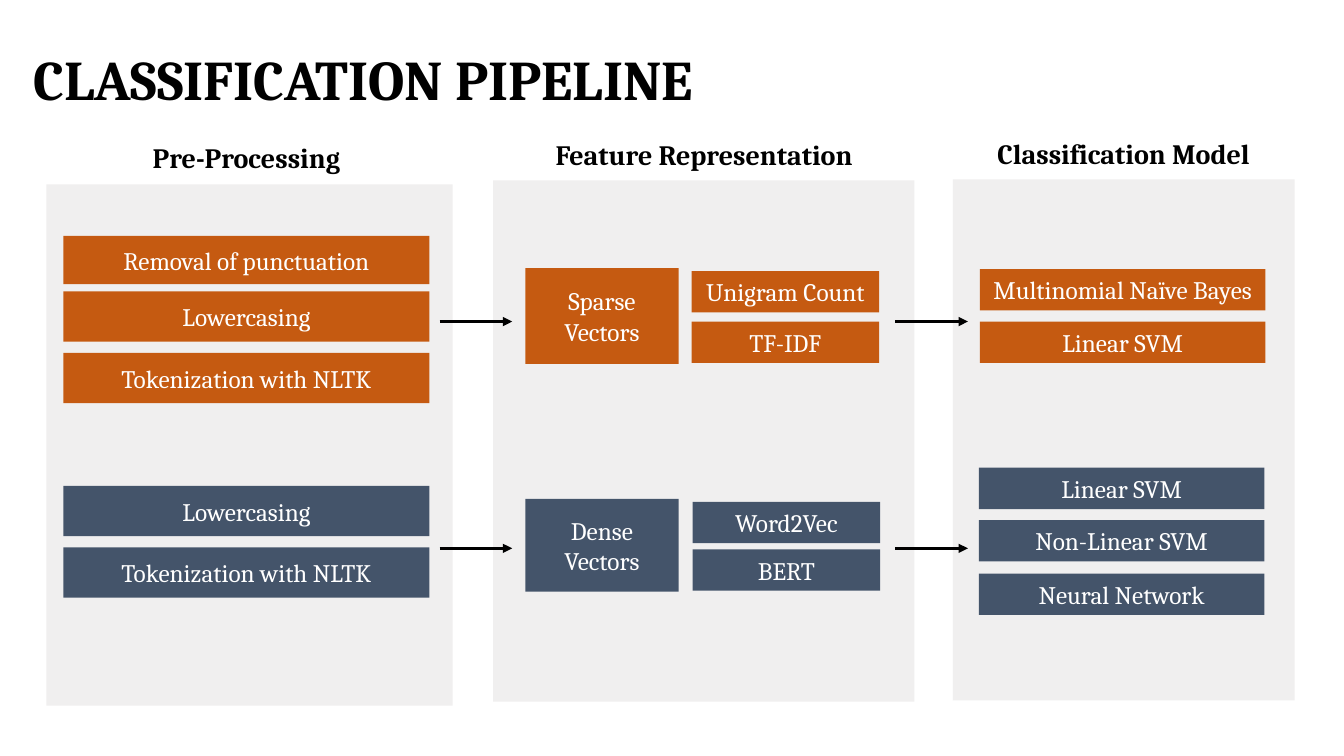
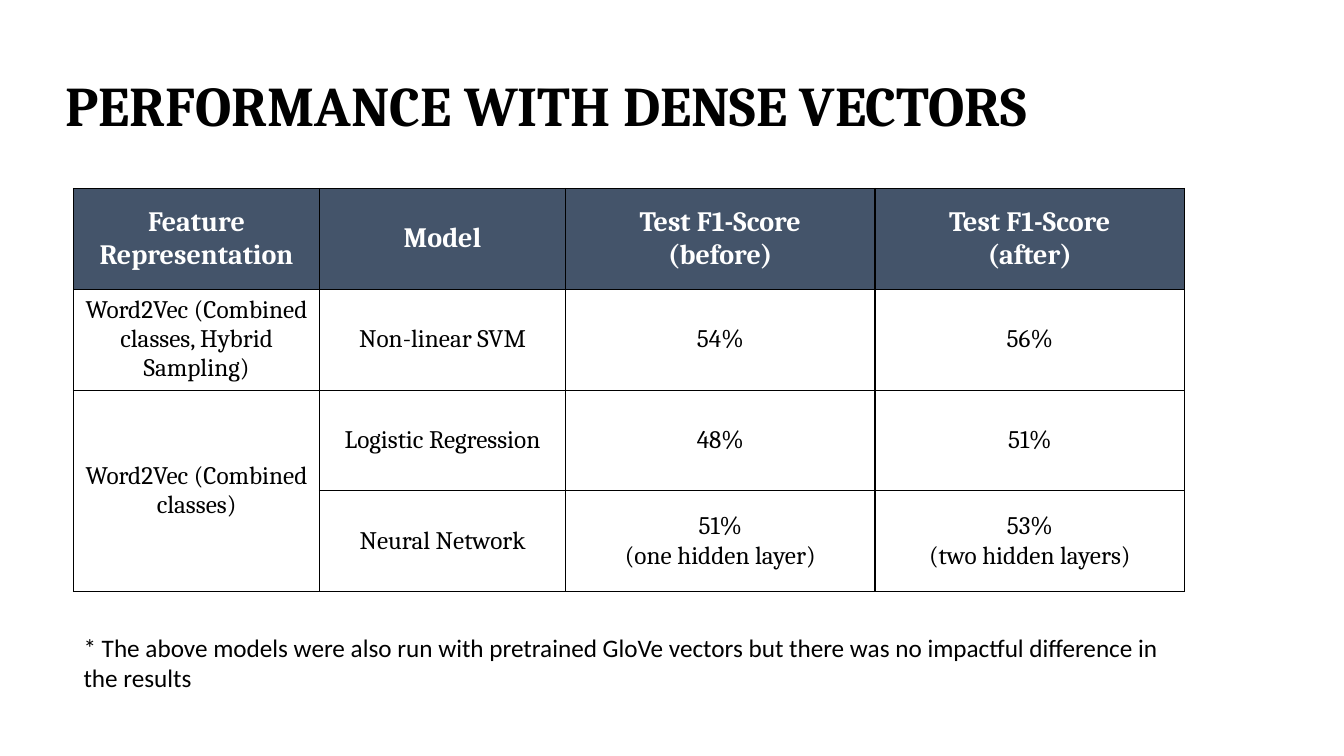
import pptx
import pptx.dml.color
import pptx.enum.shapes
import pptx.enum.text
import pptx.oxml.ns
import pptx.util
from lxml import etree

Inches = pptx.util.Inches
Pt = pptx.util.Pt
CENTER = pptx.enum.text.PP_ALIGN.CENTER
LEFT = pptx.enum.text.PP_ALIGN.LEFT
MIDDLE = pptx.enum.text.MSO_ANCHOR.MIDDLE

SERIF, SANS = "Cambria", "Calibri"
ORANGE, SLATE, GREY = "C55A11", "44546A", "E7E6E6"
BLACK, WHITE = "000000", "FFFFFF"
TITLE_SIZE, HEADING_SIZE, BODY_SIZE = 40, 20, 18

PANELS = [
    ("Pre-Processing", (1.11, 1.37, 2.67), (0.46, 1.83, 4.03)),
    ("Feature Representation", (5.23, 1.34, 3.51), (4.89, 1.79, 4.18)),
    ("Classification Model", (9.39, 1.33, 3.51), (9.45, 1.78, 3.39)),
]
STACKS = [
    (ORANGE, 0.63, 3.63, 0.48, {2.34: "Removal of punctuation"}),
    (ORANGE, 0.63, 3.63, 0.5, {2.89: "Lowercasing", 3.5: "Tokenization with NLTK"}),
    (SLATE, 0.63, 3.63, 0.5, {4.82: "Lowercasing", 5.43: "Tokenization with NLTK"}),
    (ORANGE, 5.21, 1.52, 0.95, {2.66: "Sparse Vectors"}),
    (SLATE, 5.21, 1.52, 0.92, {4.95: "Dense Vectors"}),
    (ORANGE, 6.86, 1.86, 0.41, {2.69: "Unigram Count", 3.19: "TF-IDF"}),
    (SLATE, 6.87, 1.86, 0.41, {4.98: "Word2Vec", 5.45: "BERT"}),
    (ORANGE, 9.72, 2.83, 0.41, {2.67: "Multinomial Naïve Bayes", 3.19: "Linear SVM"}),
    (SLATE, 9.71, 2.83, 0.41,
     {4.64: "Linear SVM", 5.16: "Non-Linear SVM", 5.69: "Neural Network"}),
]
ARROW_LEFTS, ARROW_TOPS, ARROW_LENGTH = (4.36, 8.88), (3.19, 5.44), 0.72

COLUMN_WIDTHS = (2.44, 2.44, 3.07, 3.07)
ROW_HEIGHT = 1
RESULTS = [
    ("Feature Representation", "Model", "Test F1-Score\n(before)", "Test F1-Score\n(after)"),
    ("Word2Vec (Combined classes, Hybrid Sampling)", "Non-linear SVM", "54%", "56%"),
    ("Word2Vec (Combined classes)", "Logistic Regression", "48%", "51%"),
    ("", "Neural Network", "51%\n(one hidden layer)", "53%\n(two hidden layers)"),
]
FOOTNOTE = ("* The above models were also run with pretrained GloVe vectors "
            "but there was no impactful difference in the results")


def rgb(code):
    """Turn a hex string into a colour."""
    return pptx.dml.color.RGBColor.from_string(code)


def add_element(parent, tag, **attributes):
    """Append a drawing element to an XML parent."""
    return etree.SubElement(parent, pptx.oxml.ns.qn(tag), attributes)


def write(frame, text, size=BODY_SIZE, color=WHITE, bold=False, font=SERIF,
          align=CENTER, spacing=None):
    """Fill a text frame with one formatted paragraph per line."""
    frame.word_wrap = True
    for index, line in enumerate(text.split("\n")):
        para = frame.add_paragraph() if index else frame.paragraphs[0]
        para.alignment = align
        if spacing:
            para.line_spacing = spacing
        span = para.add_run()
        span.text = line
        span.font.size = Pt(size)
        span.font.name = font
        span.font.bold = bold
        span.font.color.rgb = rgb(color)


def add_box(page, left, top, width, height, fill, text="", opacity=None, **text_format):
    """Draw a flat rectangle with optional text and transparency."""
    box = page.shapes.add_shape(
        pptx.enum.shapes.MSO_SHAPE.RECTANGLE,
        Inches(left), Inches(top), Inches(width), Inches(height))
    box.shadow.inherit = False
    box.fill.solid()
    box.fill.fore_color.rgb = rgb(fill)
    box.line.fill.background()
    if opacity:
        color = box._element.spPr.find(".//" + pptx.oxml.ns.qn("a:srgbClr"))
        add_element(color, "a:alpha", val=str(opacity * 1000))
    if text:
        box.text_frame.vertical_anchor = MIDDLE
        write(box.text_frame, text, **text_format)
    return box


def add_arrow(page, left, top):
    """Draw a short arrow pointing right."""
    arrow = page.shapes.add_connector(
        pptx.enum.shapes.MSO_CONNECTOR.STRAIGHT,
        Inches(left), Inches(top), Inches(left + ARROW_LENGTH), Inches(top))
    arrow.line.color.rgb = rgb(BLACK)
    arrow.line.width = Pt(2.25)
    add_element(arrow.line._get_or_add_ln(), "a:tailEnd", type="triangle")
    add_element(arrow._element.spPr, "a:effectLst")


def add_page(deck, title, left, top):
    """Add a title-only slide with its title in place."""
    page = deck.slides.add_slide(deck.slide_layouts[5])
    box = page.shapes.title
    box.left, box.top = Inches(left), Inches(top)
    box.width, box.height = Inches(11.5), Inches(1.45)
    box.text_frame.vertical_anchor = MIDDLE
    write(box.text_frame, title, size=TITLE_SIZE, color=BLACK, bold=True,
          align=LEFT, spacing=0.9)
    return page


def format_cell(cell, text, header):
    """Give a table cell its text, borders and fill."""
    cell.vertical_anchor = MIDDLE
    cell.margin_left = cell.margin_right = Inches(0.06)
    cell.margin_top = cell.margin_bottom = Inches(0.06)
    properties = cell._tc.get_or_add_tcPr()
    for side in ("a:lnL", "a:lnR", "a:lnT", "a:lnB"):
        border = add_element(properties, side, w=str(Pt(1)))
        add_element(add_element(border, "a:solidFill"), "a:srgbClr", val=BLACK)
    cell.fill.solid()
    cell.fill.fore_color.rgb = rgb(SLATE if header else WHITE)
    if text:
        write(cell.text_frame, text, bold=header,
              size=HEADING_SIZE if header else BODY_SIZE,
              color=WHITE if header else BLACK)


def add_results(page, left, top):
    """Add the table of scores."""
    table = page.shapes.add_table(
        len(RESULTS), len(COLUMN_WIDTHS), Inches(left), Inches(top),
        Inches(sum(COLUMN_WIDTHS)), Inches(ROW_HEIGHT * len(RESULTS))).table
    for column, width in zip(table.columns, COLUMN_WIDTHS):
        column.width = Inches(width)
    for row_index, texts in enumerate(RESULTS):
        for column_index, text in enumerate(texts):
            format_cell(table.cell(row_index, column_index), text, row_index == 0)
    table.cell(2, 0).merge(table.cell(3, 0))


def build_pipeline(deck):
    """Build the slide with the classification pipeline."""
    page = add_page(deck, "CLASSIFICATION PIPELINE", 0.23, 0.09)
    for heading, heading_place, panel_place in PANELS:
        add_box(page, *panel_place, 5.17, GREY, opacity=62)
        add_box(page, *heading_place, 0.38, WHITE, heading,
                size=HEADING_SIZE, color=BLACK, bold=True)
    for color, left, width, height, labels in STACKS:
        for top, label in labels.items():
            add_box(page, left, top, width, height, color, label)
    for top in ARROW_TOPS:
        for left in ARROW_LEFTS:
            add_arrow(page, left, top)


def build_performance(deck):
    """Build the slide with the scores and their footnote."""
    page = add_page(deck, "PERFORMANCE WITH DENSE VECTORS", 0.55, 0.35)
    add_results(page, 0.73, 1.87)
    add_box(page, 0.73, 6.24, sum(COLUMN_WIDTHS), 0.67, WHITE, FOOTNOTE,
            color=BLACK, font=SANS, align=LEFT)


def main():
    """Build and save the deck."""
    deck = pptx.Presentation()
    deck.slide_width, deck.slide_height = Inches(13.33), Inches(7.5)
    build_pipeline(deck)
    build_performance(deck)
    deck.save("out.pptx")


if __name__ == "__main__":
    main()
